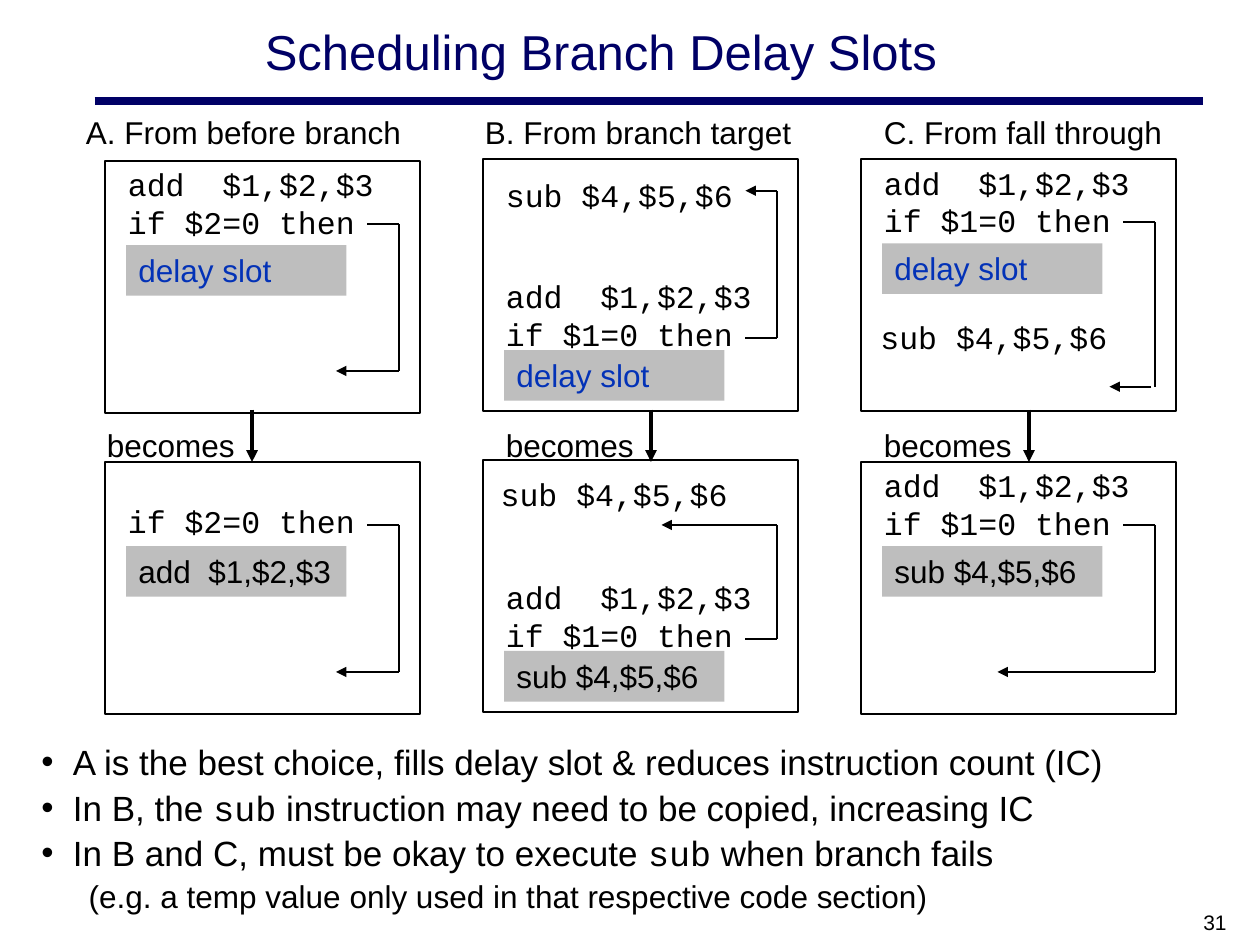
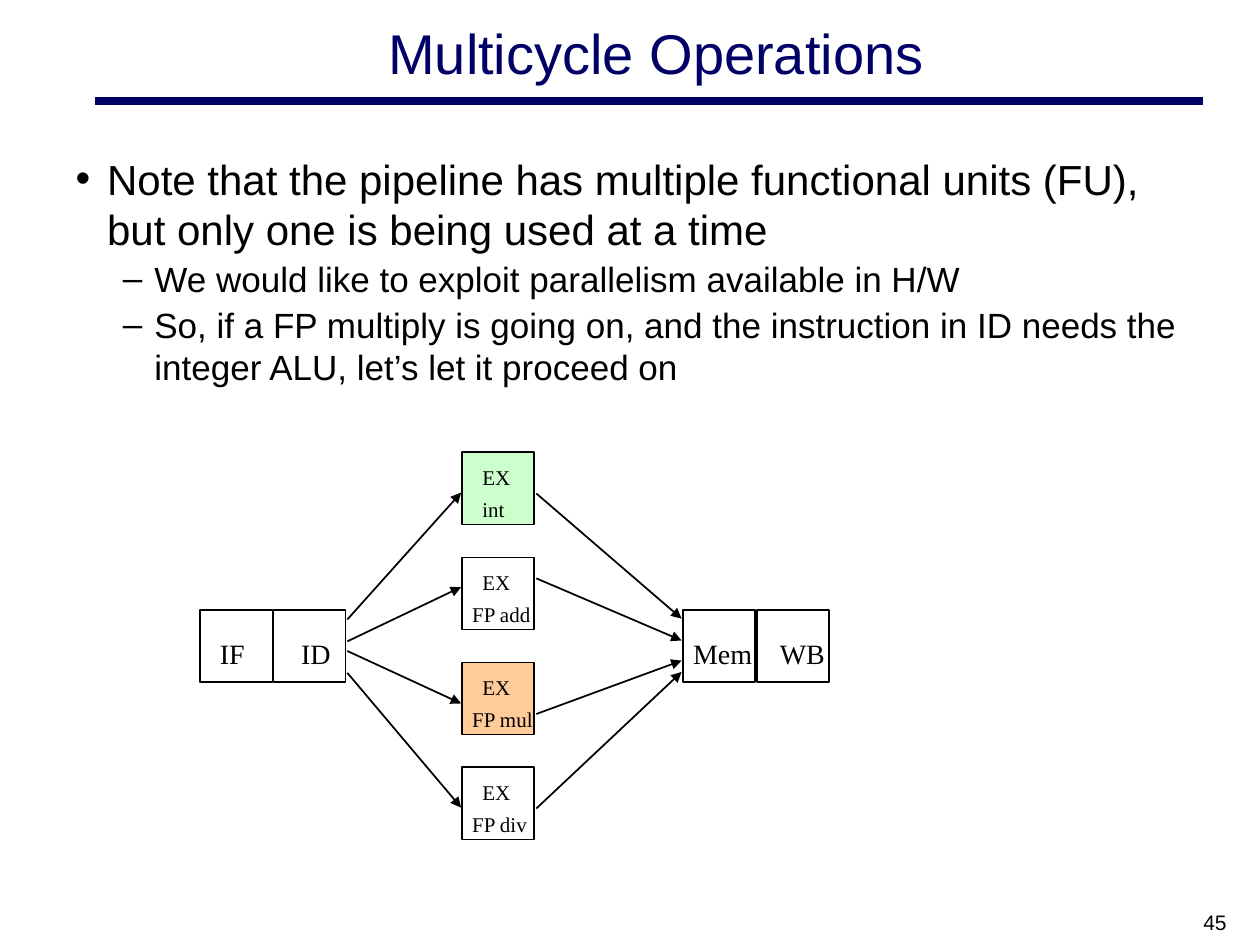
from dataclasses import dataclass
from typing import NamedTuple

from lxml.etree import SubElement
from pptx import Presentation
from pptx.dml.color import RGBColor
from pptx.enum.shapes import MSO_CONNECTOR as Connector, MSO_SHAPE as Preset
from pptx.enum.text import MSO_ANCHOR as Anchor, MSO_AUTO_SIZE as AutoSize, PP_ALIGN as Align
from pptx.oxml.ns import qn
from pptx.util import Pt


@dataclass(frozen=True)
class Theme:
    sans: str = "Arial"
    code: str = "Courier New"
    serif: str = "Times New Roman"
    navy: str = "000066"
    black: str = "000000"
    blue: str = "0332B7"
    gray: str = "BEBEBE"
    green: str = "CCFFCC"
    orange: str = "FFCC99"
    lead: int = 24
    body: int = 20
    label: int = 18
    stage: int = 16
    small: int = 12
    thin: float = 1
    medium: float = 2.25
    thick: float = 4.5


THEME = Theme()


class Box(NamedTuple):
    left: float
    top: float
    width: float
    height: float


class Style(NamedTuple):
    size: float
    font: str = THEME.sans
    color: str = THEME.black
    align: Align = Align.LEFT


class Bullet(NamedTuple):
    runs: tuple[str, ...]
    size: int = THEME.body
    mark: str = "•"
    margin: float = 18


class Code(NamedTuple):
    left: float
    top: float
    lines: tuple[str, ...]


class Wire(NamedTuple):
    start: float
    end: float
    tip: float
    gap: float = 0


class Panel(NamedTuple):
    column: int
    top: float
    codes: tuple[Code, ...]
    slot_top: float
    slot_text: str
    slot_color: str
    wire: Wire


class Unit(NamedTuple):
    name: str
    name_left: float
    fill: str | None
    entry: tuple[float, float]
    leave: tuple[float, float]


class Stage(NamedTuple):
    name: str
    left: float
    name_left: float


CODE_STYLE = Style(THEME.label, THEME.code)
LABEL_STYLE = Style(THEME.label)
COLUMN_LEFT, COLUMN_STEP = 60, 216
HEADINGS = (("A. From before branch", 42), ("B. From branch target", 270), ("C. From fall through", 498))
BECOMES_ARROWS = (144, 372, 588)
ADD, SUB = "add  $1,$2,$3", "sub $4,$5,$6"
IF_ONE, IF_TWO = "if $1=0 then", "if $2=0 then"

PANELS = (
    Panel(0, 92, (Code(6, -1, (ADD, IF_TWO)),), 48, "delay slot", THEME.blue, Wire(36, 120, 132)),
    Panel(1, 91, (Code(6, 6, (SUB,)), Code(6, 64, (ADD, IF_ONE))), 109, "delay slot", THEME.blue,
          Wire(102, 18, 150)),
    Panel(2, 91, (Code(6, -1, (ADD, IF_ONE)), Code(4, 87, (SUB,))), 48, "delay slot", THEME.blue,
          Wire(36, 130, 142, 2)),
    Panel(0, 264, (Code(6, 19.5, (IF_TWO,)),), 48, ADD, THEME.black, Wire(36, 120, 132)),
    Panel(1, 263, (Code(3, 5, (SUB,)), Code(6, 64, (ADD, IF_ONE))), 109, SUB, THEME.black,
          Wire(102, 37, 102)),
    Panel(2, 264, (Code(6, -1, (ADD, IF_ONE)),), 48, SUB, THEME.black, Wire(36, 120, 78)),
)

SCHEDULING_POINTS = (
    Bullet(("A is the best choice, fills delay slot & reduces instruction count (IC)",)),
    Bullet(("In B, the ", "sub", " instruction may need to be copied, increasing IC")),
    Bullet(("In B and C, must be okay to execute ", "sub", " when branch fails")),
    Bullet(("(e.g. a temp value only used in that respective code section)",), THEME.label, "", 45),
)

MULTICYCLE_POINTS = (
    Bullet(("Note that the pipeline has multiple functional units (FU), "
            "but only one is being used at a time",), THEME.lead),
    Bullet(("We would like to exploit parallelism available in H/W",), mark="–", margin=45),
    Bullet(("So, if a FP multiply is going on, and the instruction in ID needs the "
            "integer ALU, let’s let it proceed on",), mark="–", margin=45),
)

CELL = 41.25
STAGE_TOP = 348.5
UNIT_LEFT, UNIT_TOP, UNIT_STEP = 264, 258.5, 60
STAGES = (Stage("IF", 114.5, 118.5), Stage("ID", 156.25, 165),
          Stage("Mem", 390.25, 389), Stage("WB", 432.5, 438.5))
UNITS = (
    Unit("int", 268.5, THEME.green, (354, 281.5), (282, 353.5)),
    Unit("FP add", 262.75, None, (366.5, 335.5), (330.5, 366)),
    Unit("FP mul", 262.75, THEME.orange, (372, 402), (408, 377.5)),
    Unit("FP div", 262.75, None, (384.5, 461.5), (462, 384)),
)


def set_style(paragraph, style: Style) -> None:
    paragraph.alignment = style.align
    paragraph.font.name = style.font
    paragraph.font.size = Pt(style.size)
    paragraph.font.color.rgb = RGBColor.from_string(style.color)


def fill_text(shape, lines: tuple[str, ...], style: Style, anchor: Anchor = Anchor.TOP) -> None:
    frame = shape.text_frame
    frame.word_wrap = True
    frame.auto_size = AutoSize.NONE
    frame.vertical_anchor = anchor
    frame.text = "\n".join(lines)
    for paragraph in frame.paragraphs:
        set_style(paragraph, style)


def add_label(slide, box: Box, lines: tuple[str, ...], style: Style) -> None:
    fill_text(slide.shapes.add_textbox(*map(Pt, box)), lines, style)


def add_box(slide, box: Box, fill: str | None = None, line: str | None = THEME.black):
    shape = slide.shapes.add_shape(Preset.RECTANGLE, *map(Pt, box))
    shape.shadow.inherit = False
    if fill:
        shape.fill.solid()
        shape.fill.fore_color.rgb = RGBColor.from_string(fill)
    else:
        shape.fill.background()
    if line:
        shape.line.color.rgb = RGBColor.from_string(line)
        shape.line.width = Pt(THEME.thin)
    else:
        shape.line.fill.background()
    return shape


def add_line(slide, start: tuple[float, float], end: tuple[float, float], arrow: bool = False,
             width: float = THEME.thin, color: str = THEME.black) -> None:
    connector = slide.shapes.add_connector(Connector.STRAIGHT, *map(Pt, start + end))
    connector.line.color.rgb = RGBColor.from_string(color)
    connector.line.width = Pt(width)
    if arrow:
        SubElement(connector.line._get_or_add_ln(), qn("a:tailEnd"), type="triangle")
    SubElement(connector._element.spPr, qn("a:effectLst"))


def place(shape, box: Box) -> None:
    shape.left, shape.top, shape.width, shape.height = map(Pt, box)


def fill_bullets(shape, bullets: tuple[Bullet, ...]) -> None:
    frame = shape.text_frame
    frame.auto_size = AutoSize.NONE
    for index, bullet in enumerate(bullets):
        paragraph = frame.paragraphs[0] if index == 0 else frame.add_paragraph()
        paragraph.level = int(bullet.margin > 18)
        paragraph.space_before = Pt(bullet.size / 10)
        set_style(paragraph, Style(bullet.size))
        for text in bullet.runs:
            run = paragraph.add_run()
            run.text = text
            if text == "sub":
                run.font.name = THEME.code
        properties = paragraph._p.get_or_add_pPr()
        properties.set("marL", str(Pt(bullet.margin)))
        properties.set("indent", str(Pt(-18)))
        mark = properties.makeelement(qn("a:buChar" if bullet.mark else "a:buNone"))
        if bullet.mark:
            mark.set("char", bullet.mark)
        properties.find(qn("a:defRPr")).addprevious(mark)


def add_page(presentation, title: str, title_box: Box, title_size: int,
             bullets: tuple[Bullet, ...], body_box: Box, number: int):
    slide = presentation.slides.add_slide(presentation.slide_layouts[1])
    add_line(slide, (54, 57.5), (687.5, 57.5), width=THEME.thick, color=THEME.navy)
    heading, body = slide.placeholders
    place(heading, title_box)
    fill_text(heading, (title,), Style(title_size, color=THEME.navy, align=Align.CENTER), Anchor.MIDDLE)
    place(body, body_box)
    fill_bullets(body, bullets)
    add_label(slide, Box(540, 516, 168, 18), (str(number),), Style(THEME.small, align=Align.RIGHT))
    return slide


def draw_panel(slide, panel: Panel) -> None:
    left, top = COLUMN_LEFT + panel.column * COLUMN_STEP, panel.top
    add_box(slide, Box(left, top, 180, 144))
    for code in panel.codes:
        add_label(slide, Box(left + code.left, top + code.top, 162, 50), code.lines, CODE_STYLE)
    slot = add_box(slide, Box(left + 12, top + panel.slot_top, 126, 29), THEME.gray, None)
    fill_text(slot, (panel.slot_text,), Style(THEME.label, color=panel.slot_color))
    wire, right = panel.wire, left + 168
    start, end = top + wire.start, top + wire.end
    add_line(slide, (left + 150, start), (right, start))
    add_line(slide, (right, start), (right, end))
    add_line(slide, (right - wire.gap, end), (left + wire.tip, end), arrow=True)


def build_scheduling(presentation) -> None:
    slide = add_page(presentation, "Scheduling Branch Delay Slots", Box(56, 0, 574.5, 58.5), 28,
                     SCHEDULING_POINTS, Box(16.5, 419.75, 692, 100), 31)
    for text, left in HEADINGS:
        add_label(slide, Box(left, 61, 204, 29), (text,), LABEL_STYLE)
    for panel in PANELS:
        draw_panel(slide, panel)
    for center in BECOMES_ARROWS:
        add_line(slide, (center, 234), (center, 264), arrow=True, width=THEME.medium)
        add_label(slide, Box(center - 90, 240, 90, 29), ("becomes",), LABEL_STYLE)


def build_multicycle(presentation) -> None:
    slide = add_page(presentation, "Multicycle Operations", Box(66, 6, 618, 48), 32,
                     MULTICYCLE_POINTS, Box(36, 84, 648, 398), 45)
    for stage in STAGES:
        add_box(slide, Box(stage.left, STAGE_TOP, CELL, CELL))
        add_label(slide, Box(stage.name_left, 360, 60, 26), (stage.name,), Style(THEME.stage, THEME.serif))
    unit_style = Style(THEME.small, THEME.serif)
    for index, unit in enumerate(UNITS):
        top = UNIT_TOP + index * UNIT_STEP
        add_box(slide, Box(UNIT_LEFT, top, CELL, CELL), unit.fill)
        add_label(slide, Box(268.5, top + 3.5, 60, 21.5), ("EX",), unit_style)
        add_label(slide, Box(unit.name_left, top + 21.5, 60, 21.5), (unit.name,), unit_style)
        add_line(slide, (198.5, unit.entry[0]), (263.5, unit.entry[1]), arrow=True)
        add_line(slide, (306.5, unit.leave[0]), (389.5, unit.leave[1]), arrow=True)


def main() -> None:
    presentation = Presentation()
    presentation.slide_width, presentation.slide_height = Pt(720), Pt(540)
    build_scheduling(presentation)
    build_multicycle(presentation)
    presentation.save("out.pptx")


if __name__ == "__main__":
    main()
